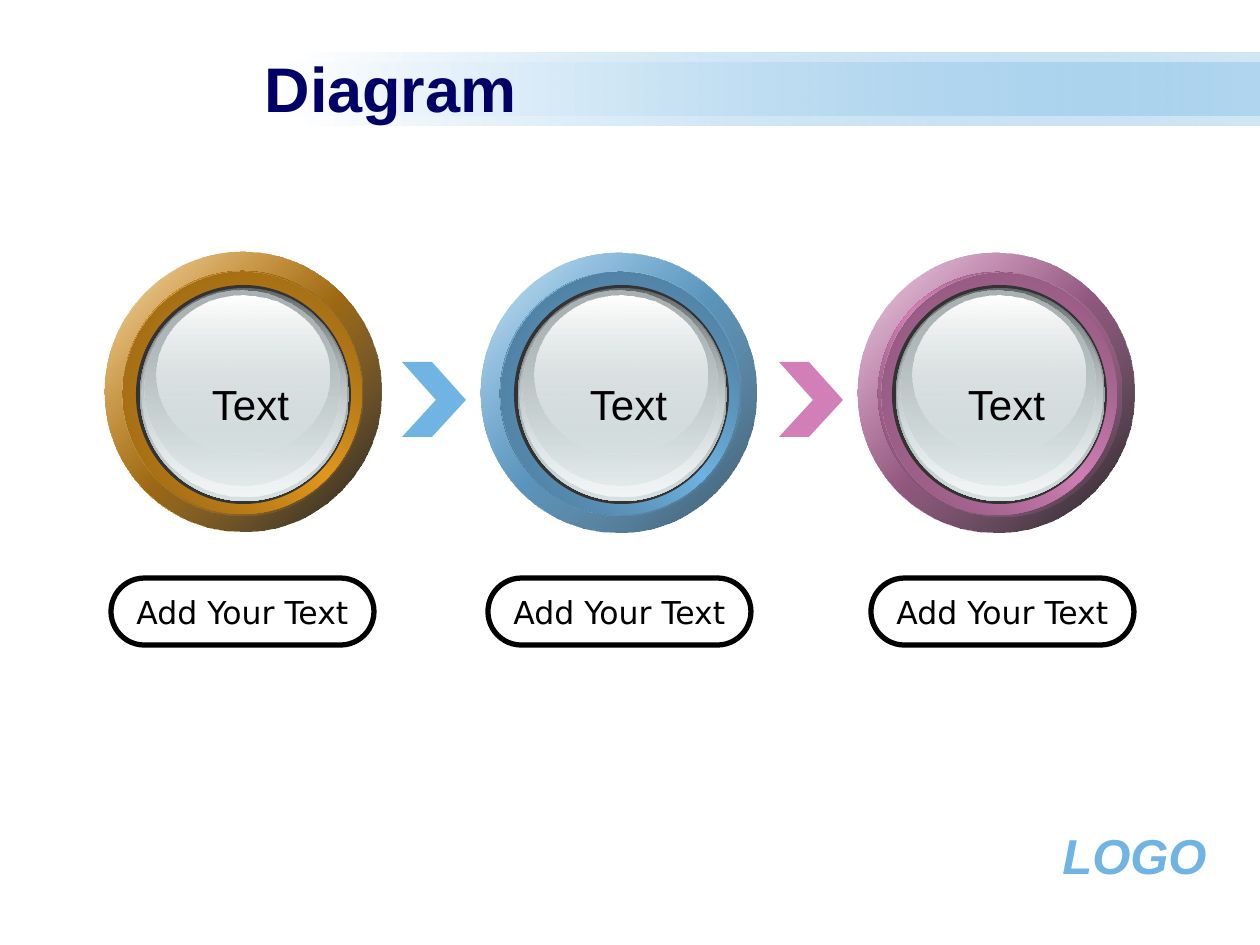
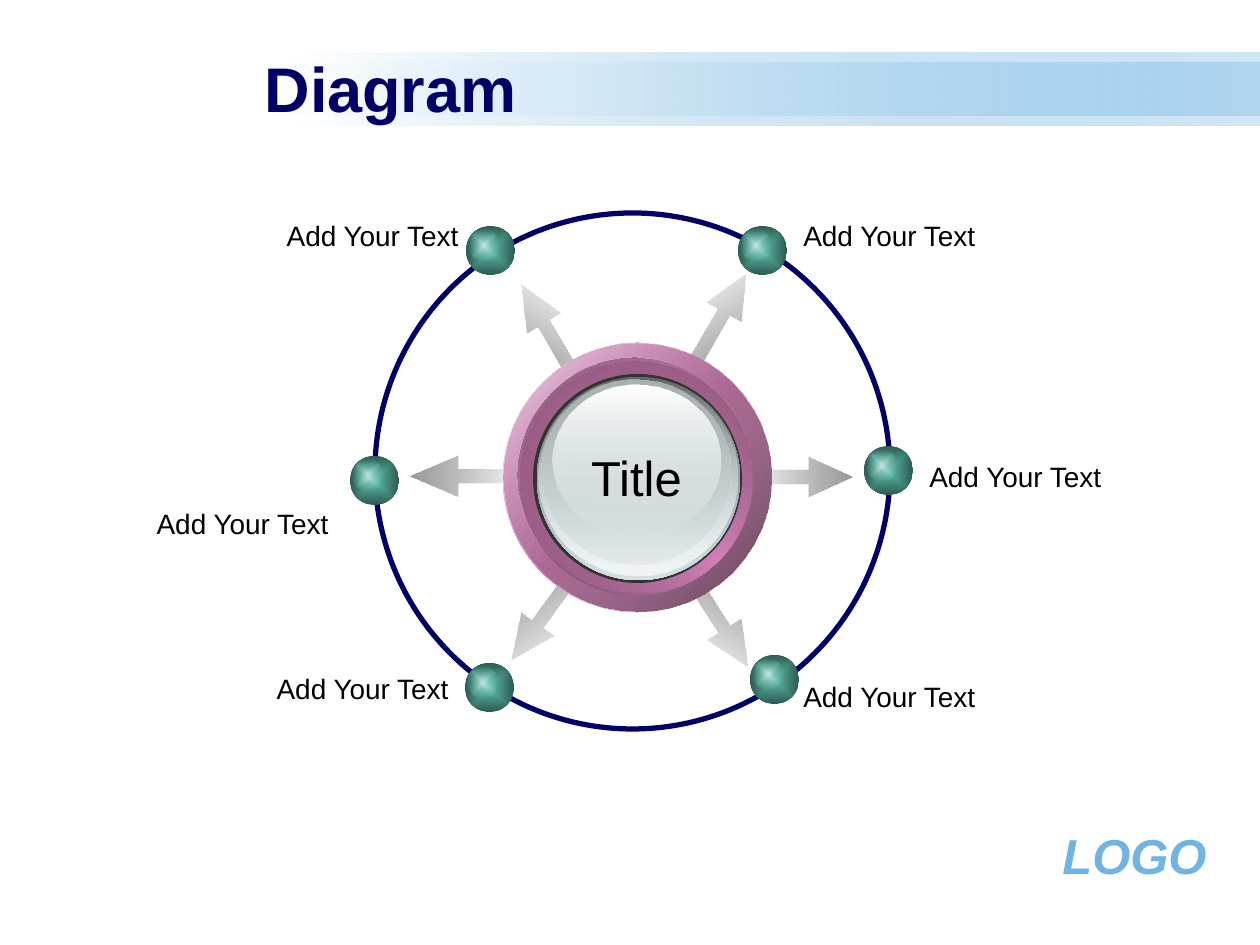
from collections import namedtuple

from lxml.etree import SubElement
from pptx import Presentation
from pptx.dml.color import RGBColor as RGB
from pptx.enum.shapes import MSO_SHAPE as SHAPE
from pptx.enum.text import MSO_ANCHOR as ANCHOR, MSO_AUTO_SIZE as AUTO_SIZE, PP_ALIGN as ALIGN
from pptx.oxml import parse_xml
from pptx.oxml.ns import nsdecls, qn
from pptx.util import Emu, Pt

PX = 914400 / 126

WHITE = RGB(0xFF, 0xFF, 0xFF)
BLACK = RGB(0x00, 0x00, 0x00)
NAVY = RGB(0x00, 0x00, 0x66)
SKY = RGB(0x6F, 0xB4, 0xE3)
PINK = RGB(0xD1, 0x7F, 0xB6)
AMBER = RGB(0xE3, 0x98, 0x1D)
CHARCOAL = RGB(0x33, 0x33, 0x33)
GLASS = RGB(0xD6, 0xE1, 0xE2)
GLASS_DARK = RGB(0x63, 0x68, 0x69)
GLASS_GREY = RGB(0xAA, 0xB2, 0xB3)
GLASS_LIGHT = RGB(0xF1, 0xF5, 0xF5)
ARROW_DARK = RGB(0x86, 0x86, 0x86)
ARROW_GREY = RGB(0x96, 0x96, 0x96)
TEAL = RGB(0x5D, 0xBD, 0xAB)
TEAL_DARK = RGB(0x2D, 0x5C, 0x53)
TEAL_LIGHT = RGB(0xC4, 0xE7, 0xE0)

# Ring colours: main, groove edge, rim start, and shade end with its opacity
Ring = namedtuple("Ring", "main groove rim shade opacity")
AMBER_RING = Ring(AMBER, RGB(0x7B, 0x52, 0x10), RGB(0x90, 0x61, 0x12), BLACK, 90)
SKY_RING = Ring(SKY, RGB(0x3C, 0x61, 0x7B), RGB(0x47, 0x72, 0x90), RGB(0x33, 0x53, 0x69), 100)
PINK_RING = Ring(PINK, RGB(0x71, 0x45, 0x62), RGB(0x85, 0x51, 0x74), BLACK, 90)
HUB_RING = PINK_RING._replace(shade=RGB(0x61, 0x3B, 0x54), opacity=100)

# Glass layers inside a 215 x 219 plate: box, then gradient stops
PLATE = (215, 219)
GLASS_LAYERS = [
    ((4, 3, 209, 213), [(0, GLASS_DARK), (100, GLASS)]),
    ((6, 4, 204, 207), [(0, GLASS, 0), (100, GLASS_LIGHT)]),
    ((9, 6, 194, 194), [(0, GLASS_GREY), (100, GLASS, 48)]),
    ((20, 11, 173, 158), [(0, WHITE), (100, GLASS, 38)]),
]
CHEVRON = [(0, 0), (30, 0), (64, 38), (30, 75), (0, 75), (34, 38)]


def emu(*lengths):
    return [Emu(round(length * PX)) for length in lengths]


# Fills and shapes
def set_gradient(shape, stops, angle=None):
    """Linear gradient at a fixed page angle, or one from the centre if no angle is given."""
    gradient = parse_xml(f'<a:gradFill {nsdecls("a")} rotWithShape="0"/>')
    stop_list = SubElement(gradient, qn("a:gsLst"))
    for position, color, *opacity in stops:
        stop = SubElement(stop_list, qn("a:gs"), pos=str(position * 1000))
        tint = SubElement(stop, qn("a:srgbClr"), val=str(color))
        if opacity:
            SubElement(tint, qn("a:alpha"), val=str(opacity[0] * 1000))
    if angle is None:
        center = SubElement(gradient, qn("a:path"), path="rect")
        SubElement(center, qn("a:fillToRect"), l="50000", t="50000", r="50000", b="50000")
    else:
        SubElement(gradient, qn("a:lin"), ang=str(round(angle * 60000)), scaled="0")
    shape.fill.background()
    properties = shape._element.spPr
    properties.replace(properties.find(qn("a:noFill")), gradient)


def add_shape(slide, kind, box, fill=None, line=None):
    shape = slide.shapes.add_shape(kind, *emu(*box))
    style(shape, fill, line)
    return shape


def style(shape, fill, line=None):
    shape.shadow.inherit = False
    if fill is None:
        shape.fill.background()
    else:
        shape.fill.solid()
        shape.fill.fore_color.rgb = fill
    if line is None:
        shape.line.fill.background()
    else:
        shape.line.color.rgb = line
        shape.line.width = Pt(3)


def add_gradient(slide, kind, box, stops, angle=None):
    shape = add_shape(slide, kind, box)
    set_gradient(shape, stops, angle)
    return shape


# Text
def write(shape, text, size, font="Arial", color=BLACK, bold=False, italic=False,
          align=ALIGN.CENTER, anchor=ANCHOR.TOP, wrap=False):
    frame = shape.text_frame
    frame.auto_size = AUTO_SIZE.NONE
    frame.word_wrap = wrap
    frame.vertical_anchor = anchor
    frame.margin_left = frame.margin_right = Pt(7.2)
    frame.margin_top = frame.margin_bottom = Pt(3.6)
    para = frame.paragraphs[0]
    para.alignment = align
    span = para.add_run()
    span.text = text
    span.font.name = font
    span.font.size = Pt(size)
    span.font.bold = bold
    span.font.italic = italic
    span.font.color.rgb = color


def add_text(slide, box, text, size, **options):
    write(slide.shapes.add_textbox(*emu(*box)), text, size, **options)


# Parts shared by both slides
def add_page(deck, title):
    slide = deck.slides.add_slide(deck.slide_layouts[5])
    for left, top, height in [(294, 53, 73), (273, 63, 53)]:
        add_gradient(slide, SHAPE.RECTANGLE, (left, top, 1260 - left, height),
                     [(0, WHITE), (100, SKY, 32)], 0)
    add_text(slide, (992, 819, 227, 72), "LOGO", 28, color=SKY, bold=True, italic=True,
             align=ALIGN.RIGHT, wrap=True)
    heading = slide.shapes.title
    heading.left, heading.top, heading.width, heading.height = emu(252, 48, 955, 78)
    write(heading, title, 36, color=NAVY, bold=True, align=ALIGN.LEFT,
          anchor=ANCHOR.MIDDLE, wrap=True)
    slide.shapes._spTree.append(heading._element)  # the title stands in front of the bands
    return slide


def add_button(slide, ring, corners, outer, inner, plate):
    """Glass button: four ring ovals at the corners given, then the plate and its glass."""
    main, groove, rim, shade, opacity = ring
    ovals = [
        (outer, [(0, WHITE), (50, main), (100, WHITE)], 45),
        (outer, [(0, main, 32), (100, shade, opacity)], 45),
        (inner, [(0, groove), (50, main), (100, groove)], 315),
        (inner, [(0, rim), (100, main, 0)], 45),
    ]
    for corner, (size, stops, angle) in zip(corners, ovals):
        add_gradient(slide, SHAPE.OVAL, corner + size, stops, angle)
    add_shape(slide, SHAPE.OVAL, plate, CHARCOAL)
    left, top, width, height = plate
    scale_x, scale_y = width / PLATE[0], height / PLATE[1]
    for (x, y, w, h), stops in GLASS_LAYERS:
        box = (left + x * scale_x, top + y * scale_y, w * scale_x, h * scale_y)
        add_gradient(slide, SHAPE.OVAL, box, stops, 90)


# Parts of the single slides
def add_chevron(slide, left, top, color):
    points = [tuple(emu(left + x, top + y)) for x, y in CHEVRON]
    builder = slide.shapes.build_freeform(*points[0])
    builder.add_line_segments(points[1:], close=True)
    style(builder.convert_to_shape(), color)


def add_pill(slide, left, text):
    pill = add_shape(slide, SHAPE.ROUNDED_RECTANGLE, (left, 578, 263, 67), line=BLACK)
    pill.adjustments[0] = 0.5
    write(pill, text, 18, font="DejaVu Sans", anchor=ANCHOR.MIDDLE)


def add_arrow(slide, left, top, width, turn):
    arrow = add_gradient(slide, SHAPE.RIGHT_ARROW, (left, top, width, 40),
                         [(0, ARROW_DARK, 0), (100, ARROW_GREY)], (360 - turn) % 360)
    arrow.adjustments[0] = 0.35
    arrow.adjustments[1] = 1.21 if width > 110 else 1.11
    arrow.rotation = turn


def add_bead(slide, left, top):
    add_gradient(slide, SHAPE.OVAL, (left, top, 49, 49), [(0, TEAL), (100, TEAL_DARK)])
    add_gradient(slide, SHAPE.OVAL, (left + 3, top + 4, 30, 31),
                 [(0, TEAL_LIGHT), (100, TEAL, 0)])


def build_steps(deck):
    slide = add_page(deck, "Diagram")
    for left, color in [(402, SKY), (779, PINK)]:
        add_chevron(slide, left, 362, color)
    steps = [  # ring, ring corners, plate left, pill left
        (AMBER_RING, [(105, 252), (105, 252), (123, 271), (123, 272)], 136, 111),
        (SKY_RING, [(481, 253), (481, 253), (500, 272), (501, 272)], 514, 488),
        (PINK_RING, [(858, 253), (858, 253), (878, 272), (882, 273)], 892, 871),
    ]
    for index, (ring, corners, plate_left, pill_left) in enumerate(steps):
        add_button(slide, ring, corners, (276, 280), (239, 243), (plate_left, 285, *PLATE))
        add_pill(slide, pill_left, "Add Your Text")
        add_text(slide, (197 + 378 * index, 372, 107, 63), "Text", 24)


def build_wheel(deck):
    slide = add_page(deck, "Diagram")
    arrows = [(663, 301, 110, 299.6), (663, 600, 110, 57.8), (494, 312, 110, 239.5),
              (489, 595, 110, 125.6), (742, 457, 110, 0), (410, 456, 118, 180)]
    for arrow in arrows:
        add_arrow(slide, *arrow)
    add_shape(slide, SHAPE.OVAL, (375, 213, 515, 516), line=NAVY)

    # Hub
    add_button(slide, HUB_RING, [(503, 344), (503, 343), (520, 362), (518, 358)],
               (268, 268), (233, 233), (533, 374, 209, 209))
    add_text(slide, (578, 441, 117, 72), "Title", 28)

    # Beads on the orbit, each with its label
    spokes = [  # bead corner, label corner, label alignment
        ((738, 226), (791, 212), ALIGN.LEFT),
        ((466, 226), (268, 212), ALIGN.RIGHT),
        ((864, 446), (917, 453), ALIGN.LEFT),
        ((750, 655), (791, 673), ALIGN.LEFT),
        ((350, 456), (138, 500), ALIGN.RIGHT),
        ((465, 663), (258, 665), ALIGN.RIGHT),
    ]
    for bead, label, align in spokes:
        add_bead(slide, *bead)
        add_text(slide, (*label, 203, 47), "Add Your Text", 16, align=align)


def main():
    deck = Presentation()
    deck.slide_width, deck.slide_height = emu(1260, 945)
    build_steps(deck)
    build_wheel(deck)
    deck.save("out.pptx")


if __name__ == "__main__":
    main()
